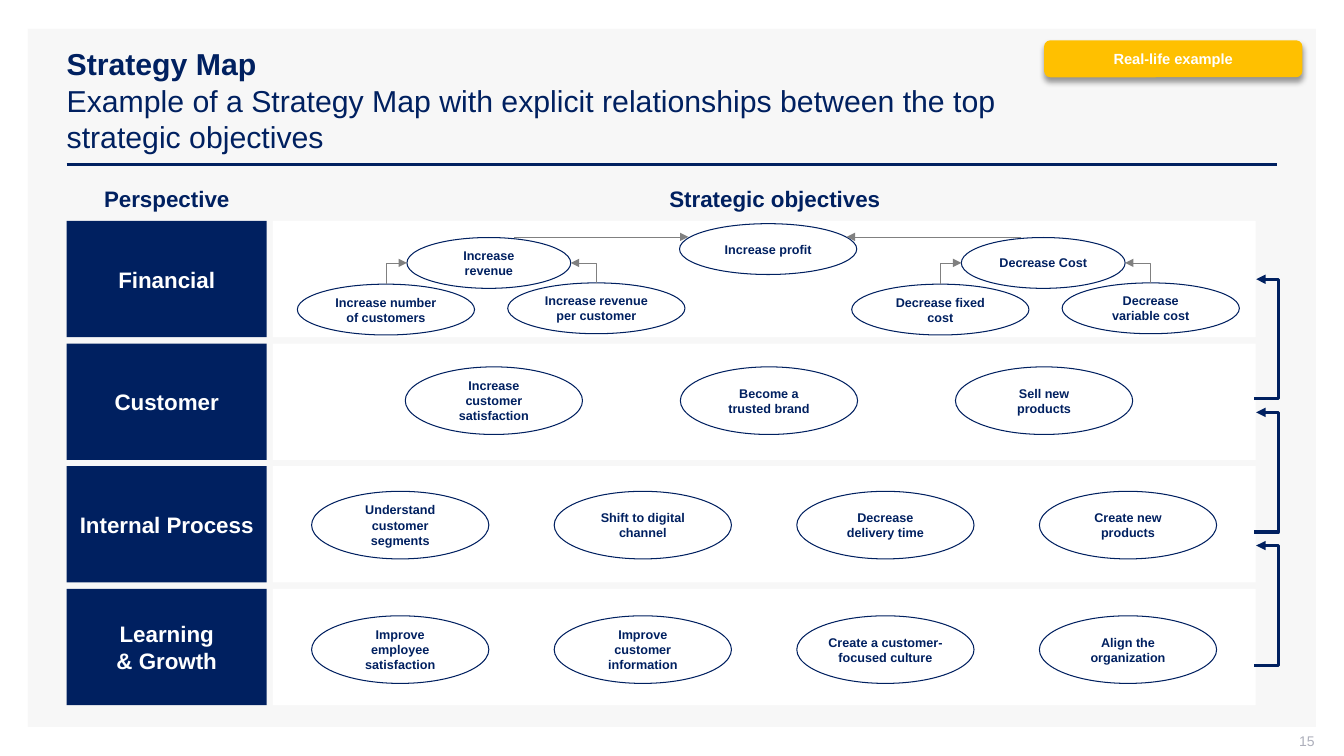
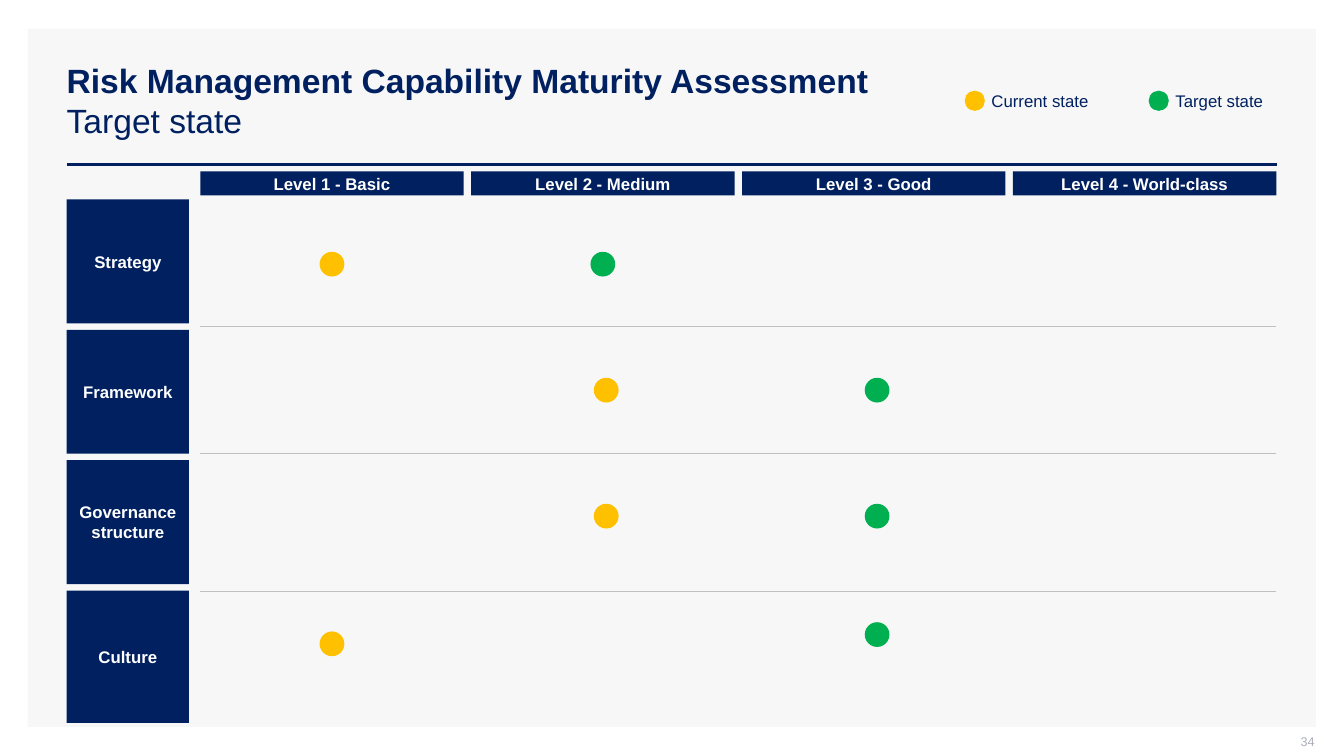
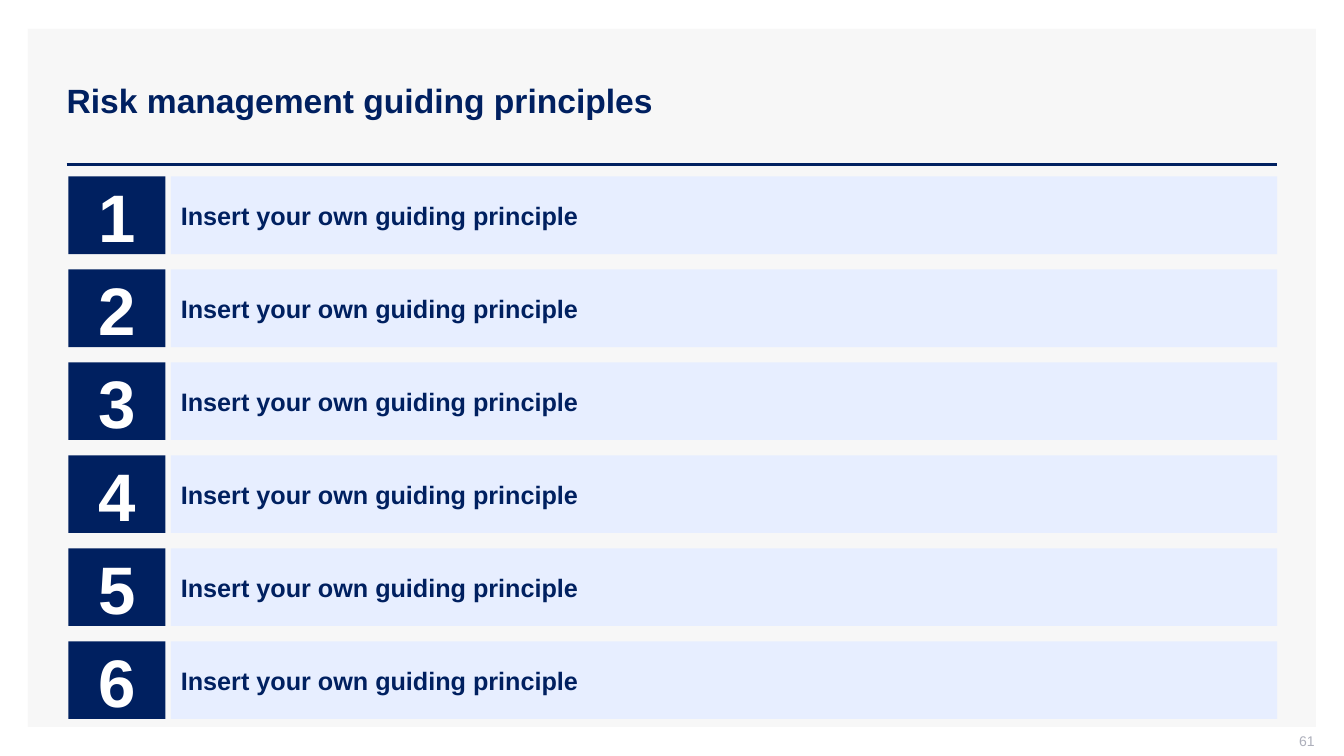
from lxml import etree
from pptx import Presentation
from pptx.dml.color import RGBColor
from pptx.enum.shapes import MSO_CONNECTOR as Link, MSO_SHAPE as Form
from pptx.enum.text import MSO_ANCHOR as Anchor, PP_ALIGN as Align
from pptx.oxml import parse_xml
from pptx.oxml.ns import nsdecls, qn
from pptx.util import Emu, Inches, Pt

COLUMNS, ROWS = 160, 90
CELL = Inches(1) // 12

NAVY, WHITE, PANEL, PALE = "002060", "FFFFFF", "F7F7F7", "E7EEFF"
AMBER, GREEN = "FFC000", "00B050"
ARROW_GREY, RULE_GREY, PAGE_GREY = "808080", "BFBFBF", "ADAFBB"
LEFT, RIGHT = 7.95, 152.05
INSETS = (1.2, 0.6)


def rgb(code):
    return RGBColor.from_string(code)


def cells(count):
    """Length of a number of grid cells."""
    return Emu(round(count * CELL))


class Deck:
    """Holds the style and the slide being drawn; lengths are grid cells."""

    def __init__(self, font="Arial"):
        self.font = font
        self.show = Presentation()
        self.show.slide_width = cells(COLUMNS)
        self.show.slide_height = cells(ROWS)

    def new_slide(self, heading, subtitle, page, size=24, page_size=10):
        self.slide = self.show.slides.add_slide(self.show.slide_layouts[6])
        self.box(3.33, 3.45, 153.33, 83.1, PANEL)
        self.line(LEFT, 19.56, RIGHT, 19.56, NAVY, 2)
        title = self.text(6.75, 4.8, 145.3, 14.25, "\v".join([heading, *subtitle]), size)
        for run in title.text_frame.paragraphs[0].runs[1:]:
            run.font.bold = False
        self.text(120.5, 87, 36, 2.5, str(page), page_size, PAGE_GREY, bold=False,
                  align=Align.RIGHT, insets=(0, 0.3))

    def set_words(self, shape, words, size, color, bold=True, align=Align.CENTER,
                  insets=INSETS, wrap=True):
        frame = shape.text_frame
        frame.text = words
        frame.word_wrap = wrap
        frame.vertical_anchor = Anchor.MIDDLE
        frame.margin_left = frame.margin_right = cells(insets[0])
        frame.margin_top = frame.margin_bottom = cells(insets[1])
        for paragraph in frame.paragraphs:
            paragraph.alignment = align
            for run in paragraph.runs:
                run.font.name, run.font.size, run.font.bold = self.font, Pt(size), bold
                run.font.color.rgb = rgb(color)

    def text(self, x, y, width, height, words, size, color=NAVY, align=Align.LEFT, **style):
        area = self.slide.shapes.add_textbox(*map(cells, (x, y, width, height)))
        self.set_words(area, words, size, color, align=align, **style)
        return area

    def box(self, x, y, width, height, fill, words="", size=12, color=WHITE,
            form=Form.RECTANGLE, outline=None, **style):
        shape = self.slide.shapes.add_shape(form, *map(cells, (x, y, width, height)))
        shape.shadow.inherit = False
        shape.fill.solid()
        shape.fill.fore_color.rgb = rgb(fill)
        if outline:
            shape.line.color.rgb = rgb(outline)
            shape.line.width = Pt(0.75)
        else:
            shape.line.fill.background()
        if words:
            self.set_words(shape, words, size, color, **style)
        return shape

    def oval(self, center_x, center_y, width, height, fill, words="", **style):
        """Ellipse placed by its centre."""
        return self.box(center_x - width / 2, center_y - height / 2, width, height, fill,
                        words, form=Form.OVAL, **style)

    def objective(self, center_x, center_y, words, width=21.1, height=8.05, **style):
        self.oval(center_x, center_y, width, height, WHITE, words, size=9, color=NAVY,
                  outline=NAVY, **style)

    def line(self, x1, y1, x2, y2, color, weight, kind=Link.STRAIGHT, arrow=None):
        """Line whose arrow is None, "headEnd" (at the start) or "tailEnd"."""
        link = self.slide.shapes.add_connector(kind, *map(cells, (x1, y1, x2, y2)))
        link.line.color.rgb = rgb(color)
        link.line.width = Pt(weight)
        if arrow:
            etree.SubElement(link.line._get_or_add_ln(), qn("a:" + arrow), type="triangle")
        etree.SubElement(link._element.spPr, qn("a:effectLst"))
        return link

    def corner_arrow(self, tip_x, tip_y, foot_x, foot_y):
        """Arrow that rises from its foot, turns once and points sideways at its tip."""
        link = self.line(tip_x, tip_y, foot_x, foot_y, ARROW_GREY, 0.5, Link.ELBOW, "headEnd")
        link._element.spPr.find(qn("a:prstGeom")).set("prst", "bentConnector2")

    def side_arrow(self, x, y, rise, reach):
        """Arrow that leaves to the right, climbs and points back to the left."""
        run = 0.25
        link = self.line(x, y, x + run, y - rise, NAVY, 2.25, Link.ELBOW, "tailEnd")
        guides = link._element.spPr.find(qn("a:prstGeom")).get_or_add_avLst()
        etree.SubElement(guides, qn("a:gd"), name="adj1",
                         fmla=f"val {round(reach / run * 100000)}")

    def badge(self, x, y, width, height, words):
        label = self.box(x, y, width, height, AMBER, words, 10.5, form=Form.ROUNDED_RECTANGLE)
        effects = label._element.spPr.find(qn("a:effectLst"))
        effects.append(parse_xml(
            f'<a:outerShdw {nsdecls("a")} blurRad="{Pt(4)}" dist="{Pt(3)}" dir="5400000" '
            'rotWithShape="0"><a:srgbClr val="000000"><a:alpha val="40000"/></a:srgbClr>'
            '</a:outerShdw>'))


def draw_strategy_map(deck):
    deck.new_slide("Strategy Map",
                   ["Example of a Strategy Map with explicit relationships between the top",
                    "strategic objectives"], 15, size=21.6)
    lane_x, lane_width, label_width = 32.5, 117, 23.8
    deck.text(LEFT, 21.6, label_width, 4.1, "Perspective", 16, align=Align.CENTER,
              insets=(0, 0.6))
    deck.text(lane_x, 21.6, 119.5, 4.1, "Strategic objectives", 16, align=Align.CENTER)
    perspectives = ["Financial", "Customer", "Internal Process", "Learning\n& Growth"]
    for row, perspective in enumerate(perspectives):
        top = 26.3 + 14.6 * row
        deck.box(lane_x, top, lane_width, 13.85, WHITE)
        deck.box(LEFT, top, label_width, 13.85, NAVY, perspective, 16)
    for step in range(3):
        deck.side_arrow(149.3, 79.2 - 15.85 * step, rise=14.25, reach=2.9)

    flat = 6.05
    deck.objective(91.45, 29.65, "Increase profit", height=flat)
    branches = [
        (58.2, "Increase revenue", "Increase number of customers",
         "Increase revenue per customer"),
        (124.2, "Decrease Cost", "Decrease fixed cost", "Decrease variable cost"),
    ]
    for center, driver, left_cause, right_cause in branches:
        driver_y, driver_width = 31.3, 19.5
        deck.objective(center, driver_y, driver, driver_width, flat)
        for side, distance, cause_y, cause in ((-1, 12.25, 36.85, left_cause),
                                               (1, 12.8, 36.7, right_cause)):
            cause_x = center + side * distance
            deck.objective(cause_x, cause_y, cause, height=flat)
            deck.corner_arrow(center + side * driver_width / 2, driver_y,
                              cause_x, cause_y - flat / 2)
    for start, tip in ((61.2, 81.95), (121.55, 100.8)):
        deck.line(start, 28.2, tip, 28.2, ARROW_GREY, 0.5, arrow="tailEnd")

    lanes = [
        (58.8, 32.75, ["Increase customer satisfaction", "Become a trusted brand",
                       "Sell new products"]),
        (47.65, 28.88, ["Understand customer segments", "Shift to digital channel",
                        "Decrease delivery time", "Create new products"]),
        (47.65, 28.88, ["Improve\nemployee satisfaction", "Improve customer information",
                        "Create a customer-focused culture", "Align the organization"]),
    ]
    for row, (first, pitch, objectives) in enumerate(lanes):
        for column, words in enumerate(objectives):
            insets = (0, 0.6) if "customer-focused" in words else INSETS
            deck.objective(first + pitch * column, 47.7 + 14.82 * row, words, insets=insets)
    deck.badge(124.3, 4.8, 30.75, 4.4, "Real-life example")


def draw_maturity(deck):
    deck.new_slide("Risk Management Capability Maturity Assessment", ["Target state"], 34,
                   page_size=9)
    grid_x, level_pitch, level_width = 23.85, 32.25, 31.35
    levels = ["Level 1 - Basic", "Level 2 - Medium", "Level 3 - Good", "Level 4 - World-class"]
    for column, level in enumerate(levels):
        deck.box(grid_x + level_pitch * column, 20.4, level_width, 2.85, NAVY, level,
                 insets=(0.7, 0.7), wrap=False)
    areas = [("Strategy", 14.75), ("Framework", 14.75), ("Governance structure", 14.75),
             ("Culture", 15.75)]
    for row, (area, height) in enumerate(areas):
        deck.box(LEFT, 23.75 + 15.52 * row, 14.55, height, NAVY, area, insets=(0, 0.7))
    for y in (38.85, 54, 70.4):
        deck.line(grid_x, y, grid_x + 3 * level_pitch + level_width, y, RULE_GREY, 1)

    for column, (state, color) in enumerate((("Current state", AMBER), ("Target state", GREEN))):
        x = 116.05 + 21.9 * column
        deck.oval(x, 12, 2.4, 2.4, color)
        deck.text(x + 0.8, 10.15, 14, 3.6, state, 12, bold=False, wrap=False)
    ratings = [
        (AMBER, 1, 0, 31.45), (GREEN, 2, 0, 31.45),
        (AMBER, 2, 0.4, 46.45), (GREEN, 3, 0.4, 46.45),
        (AMBER, 2, 0.4, 61.45), (GREEN, 3, 0.4, 61.45),
        (AMBER, 1, 0, 76.65), (GREEN, 3, 0.4, 75.55),
    ]
    for color, level, offset, y in ratings:
        x = grid_x + level_width / 2 + level_pitch * (level - 1) + offset
        deck.oval(x, y, 2.95, 2.95, color)


def draw_principles(deck):
    deck.new_slide("Risk management guiding principles", [], 61)
    bar_x, height = 20.35, 9.25
    for row in range(6):
        top = 21 + 11.07 * row
        deck.box(8.15, top, 11.55, height, NAVY, str(row + 1), 48)
        deck.box(bar_x, top, RIGHT - bar_x, height, PALE, "Insert your own guiding principle",
                 18, NAVY, align=Align.LEFT)


def main():
    deck = Deck()
    draw_strategy_map(deck)
    draw_maturity(deck)
    draw_principles(deck)
    deck.show.save("out.pptx")


if __name__ == "__main__":
    main()
